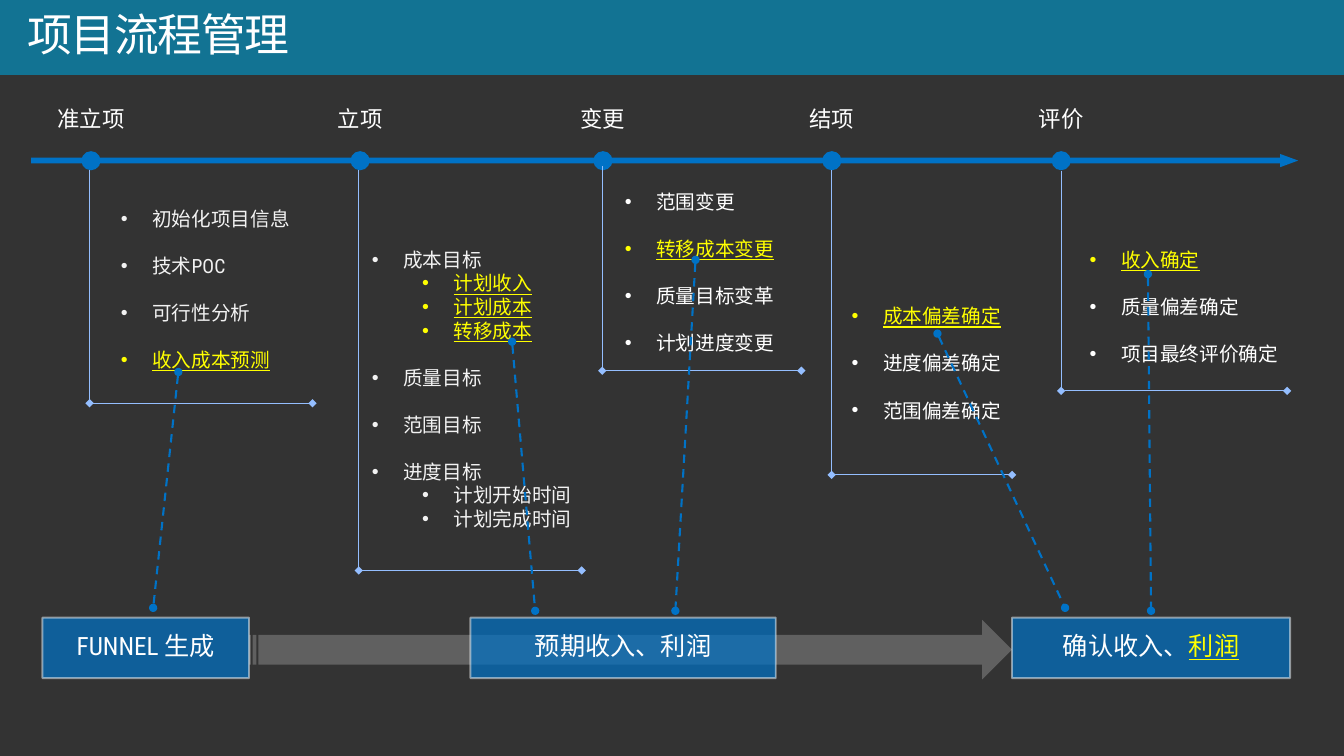
from lxml import etree
from pptx import Presentation
from pptx.dml.color import RGBColor
from pptx.enum.dml import MSO_LINE
from pptx.enum.shapes import MSO_CONNECTOR, MSO_SHAPE
from pptx.enum.text import MSO_ANCHOR, PP_ALIGN
from pptx.oxml.ns import qn
from pptx.util import Pt

RECTANGLE = MSO_SHAPE.RECTANGLE
OVAL = MSO_SHAPE.OVAL
RIGHT_ARROW = MSO_SHAPE.RIGHT_ARROW
STRIPED_ARROW = MSO_SHAPE.STRIPED_RIGHT_ARROW
STRAIGHT = MSO_CONNECTOR.STRAIGHT
DASH = MSO_LINE.DASH
CENTER, LEFT = PP_ALIGN.CENTER, PP_ALIGN.LEFT
TOP, MIDDLE = MSO_ANCHOR.TOP, MSO_ANCHOR.MIDDLE

LATIN_FONT, CHINESE_FONT = "Roboto Condensed", "Noto Sans CJK SC"
BACKGROUND, BAR, GRAY = "333333", "0099CC", "808080"
BLUE, PALE_BLUE, BORDER = "0072C6", "94BEFF", "F9F9F9"
WHITE, OFF_WHITE, YELLOW = "FFFFFF", "F2F2F2", "FFFF00"

TITLE = "项目流程管理"

# Items are (level, text, highlighted); list box is (left, top, width);
# bracket is (x, top, right, bottom).
STAGES = [
    {"name": "准立项", "center": 65, "color": OFF_WHITE,
     "box": (43.2, 144, 201.6), "bracket": (64, 121.7, 223.2, 288),
     "items": [(1, "初始化项目信息", False), (1, "技术POC", False),
               (1, "可行性分析", False), (1, "收入成本预测", True)]},
    {"name": "立项", "center": 257.2, "color": OFF_WHITE,
     "box": (222.5, 173.5, 201.6), "bracket": (256.3, 121.7, 415.5, 407.5),
     "items": [(1, "成本目标", False), (2, "计划收入", True),
               (2, "计划成本", True), (2, "转移成本", True),
               (1, "质量目标", False), (1, "范围目标", False),
               (1, "进度目标", False), (2, "计划开始时间", False),
               (2, "计划完成时间", False)]},
    {"name": "变更", "center": 430.7, "color": WHITE,
     "box": (403.2, 132, 201.6), "bracket": (430.2, 118.8, 572.4, 264.8),
     "items": [(1, "范围变更", False), (1, "转移成本变更", True),
               (1, "质量目标变革", False), (1, "计划进度变更", False)]},
    {"name": "结项", "center": 594.2, "color": WHITE,
     "box": (565.2, 213.8, 180), "bracket": (594, 121.7, 723, 339.2),
     "items": [(1, "成本偏差确定", True), (1, "进度偏差确定", False),
               (1, "范围偏差确定", False)]},
    {"name": "评价", "center": 758, "color": WHITE,
     "box": (735.2, 173.5, 217.4), "bracket": (758, 122.4, 919.4, 279.2),
     "items": [(1, "收入确定", True), (1, "质量偏差确定", False),
               (1, "项目最终评价确定", False)]},
]

# (left, width, runs as (text, highlighted))
RESULTS = [
    (30.3, 147.6, [("FUNNEL 生成", False)]),
    (336, 218.2, [("预期收入、利润", False)]),
    (722.9, 198.7, [("确认收入、", False), ("利润", True)]),
]
RESULT_TOP, RESULT_HEIGHT = 441.2, 43.2

# (start x, start y, end x, end y)
DASHED_LINKS = [
    (127.4, 265.7, 109.4, 434.2),
    (365.8, 244.1, 382.3, 436.3),
    (496.8, 185.6, 482.4, 436.3),
    (669.6, 238.3, 760.8, 434.2),
    (820, 195.8, 822.2, 436.3),
]

DOT_SIZE, TIMELINE_Y = 13.7, 114.8
LABEL_TOP, LABEL_WIDTH, LABEL_HEIGHT = 68.4, 112.4, 41
LINE_HEIGHT, BULLET_INDENT = 16.8, 22.5
ITEM_MARGINS = {1: 58.5, 2: 94.5}
LABEL_MARGINS = (14.4, 11.5)


def rgb(code):
    return RGBColor.from_string(code)


def set_alpha(fill_parent, percent):
    color = fill_parent.find(qn("a:solidFill"))[0]
    etree.SubElement(color, qn("a:alpha"), val=str(percent * 1000))


def add_filled_shape(slide, kind, left, top, width, height, color, alpha=100):
    shape = slide.shapes.add_shape(kind, Pt(left), Pt(top), Pt(width), Pt(height))
    shape.shadow.inherit = False
    shape.fill.solid()
    shape.fill.fore_color.rgb = rgb(color)
    shape.line.fill.background()
    if alpha < 100:
        set_alpha(shape._element.spPr, alpha)
    return shape


def add_text_box(slide, left, top, width, height):
    return slide.shapes.add_textbox(Pt(left), Pt(top), Pt(width), Pt(height))


def set_frame(shape, margins, anchor=TOP):
    frame = shape.text_frame
    frame.word_wrap = True
    frame.vertical_anchor = anchor
    frame.margin_left = frame.margin_right = Pt(margins[0])
    frame.margin_top = frame.margin_bottom = Pt(margins[1])
    return frame


def add_run(paragraph, text, size, color, underline=False, latin=LATIN_FONT):
    run = paragraph.add_run()
    run.text = text
    run.font.size = Pt(size)
    run.font.color.rgb = rgb(color)
    if underline:
        run.font.underline = True
    run.font.name = latin
    properties = run.font._element
    properties.find(qn("a:latin")).addnext(
        etree.Element(qn("a:ea"), typeface=CHINESE_FONT))
    return run


def write_label(shape, runs, size):
    paragraph = set_frame(shape, LABEL_MARGINS).paragraphs[0]
    paragraph.alignment = CENTER
    paragraph.line_spacing = 0.9
    paragraph.space_after = Pt(6)
    for text, highlighted in runs:
        add_run(paragraph, text, size, YELLOW if highlighted else WHITE, highlighted)


def add_line(slide, start_x, start_y, end_x, end_y, color, width, ends=None, dash=None):
    connector = slide.shapes.add_connector(
        STRAIGHT, Pt(start_x), Pt(start_y), Pt(end_x), Pt(end_y))
    connector.line.color.rgb = rgb(color)
    connector.line.width = Pt(width)
    if dash:
        connector.line.dash_style = dash
    properties = connector._element.spPr
    if ends:
        for tag in ("a:headEnd", "a:tailEnd"):
            etree.SubElement(properties.find(qn("a:ln")), qn(tag), type=ends)
    etree.SubElement(properties, qn("a:effectLst"))


def add_title(slide):
    bar = add_filled_shape(slide, RECTANGLE, 0, 0, 960, 53.5, BAR, 63)
    paragraph = set_frame(bar, (19.4, 0), MIDDLE).paragraphs[0]
    paragraph.alignment = LEFT
    paragraph.line_spacing = 0.9
    run = add_run(paragraph, TITLE, 32, WHITE, latin=CHINESE_FONT)
    run.font._element.set("spc", "-100")


def add_item_list(slide, stage):
    items = stage["items"]
    gaps = sum(level == 1 for level, _, _ in items) - 1
    height = (len(items) + gaps) * LINE_HEIGHT + 7.2
    frame = set_frame(add_text_box(slide, *stage["box"], height), (7.2, 3.6))
    for index, (level, text, highlighted) in enumerate(items):
        paragraph = frame.add_paragraph() if index else frame.paragraphs[0]
        paragraph.level = level
        if index and level == 1:
            paragraph.space_before = Pt(LINE_HEIGHT)
        properties = paragraph._p.get_or_add_pPr()
        properties.set("marL", str(Pt(ITEM_MARGINS[level])))
        properties.set("indent", str(-Pt(BULLET_INDENT)))
        etree.SubElement(properties, qn("a:buFont"), typeface="Arial")
        etree.SubElement(properties, qn("a:buChar"), char="•")
        add_run(paragraph, text, 14, YELLOW if highlighted else stage["color"], highlighted)


def add_stage(slide, stage):
    center = stage["center"]
    add_filled_shape(slide, OVAL, center - DOT_SIZE / 2, TIMELINE_Y - DOT_SIZE / 2,
                     DOT_SIZE, DOT_SIZE, BLUE)
    label = add_text_box(slide, center - LABEL_WIDTH / 2, LABEL_TOP,
                         LABEL_WIDTH, LABEL_HEIGHT)
    write_label(label, [(stage["name"], False)], 16)
    x, top, right, bottom = stage["bracket"]
    add_line(slide, x, top, x, bottom, PALE_BLUE, 0.75)
    add_line(slide, right, bottom, x, bottom, PALE_BLUE, 0.75, "diamond")
    add_item_list(slide, stage)


def main():
    presentation = Presentation()
    presentation.slide_width, presentation.slide_height = Pt(960), Pt(540)
    slide = presentation.slides.add_slide(presentation.slide_layouts[6])
    slide.background.fill.solid()
    slide.background.fill.fore_color.rgb = rgb(BACKGROUND)

    add_filled_shape(slide, STRIPED_ARROW, 177.9, 442.8, 545, 42.5, GRAY, 59)
    add_title(slide)
    timeline = add_filled_shape(slide, RIGHT_ARROW, 22.3, 110, 905, 9.4, BLUE)
    timeline.adjustments[0], timeline.adjustments[1] = 0.43, 1.36
    for stage in STAGES:
        add_stage(slide, stage)
    for left, width, runs in RESULTS:
        box = add_filled_shape(slide, RECTANGLE, left, RESULT_TOP, width,
                               RESULT_HEIGHT, BLUE, 70)
        box.line.color.rgb = rgb(BORDER)
        box.line.width = Pt(1.35)
        set_alpha(box._element.spPr.find(qn("a:ln")), 50)
        write_label(box, runs, 18)
    for link in DASHED_LINKS:
        add_line(slide, *link, BLUE, 1.5, "oval", DASH)
    presentation.save("out.pptx")


if __name__ == "__main__":
    main()
